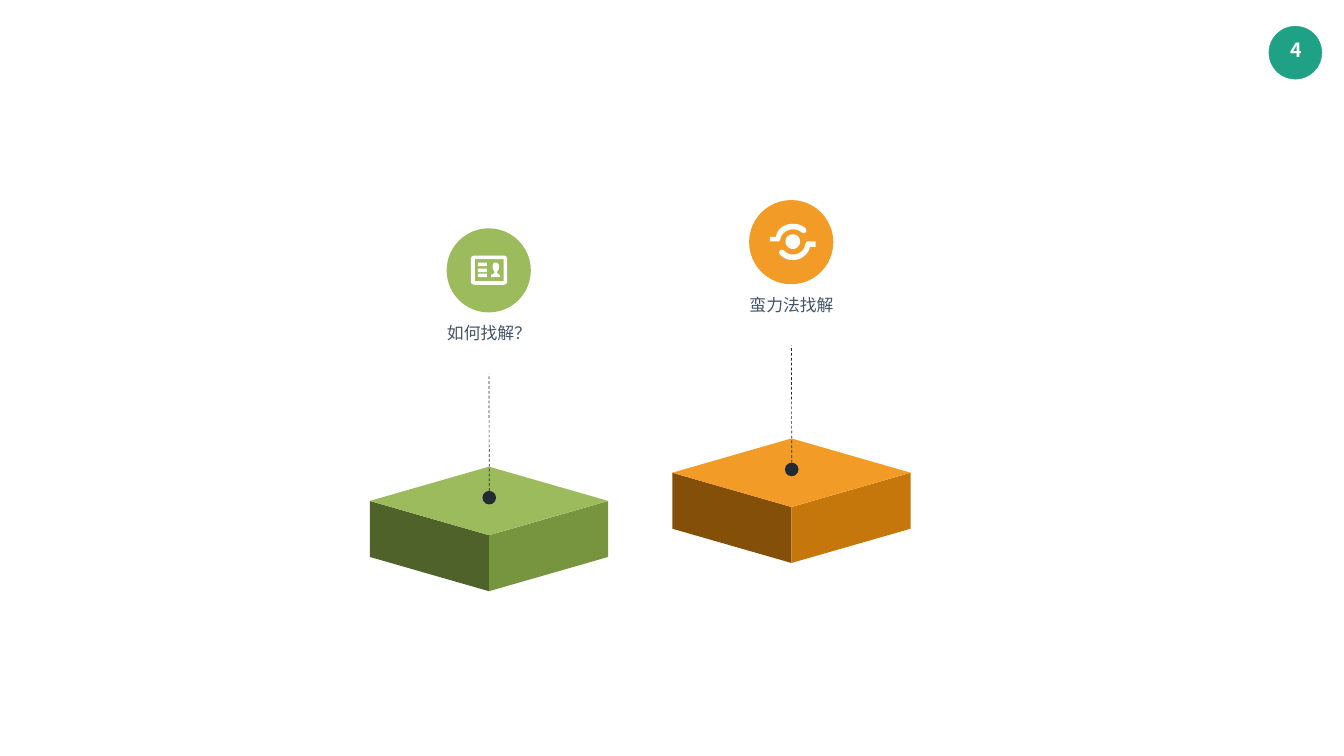
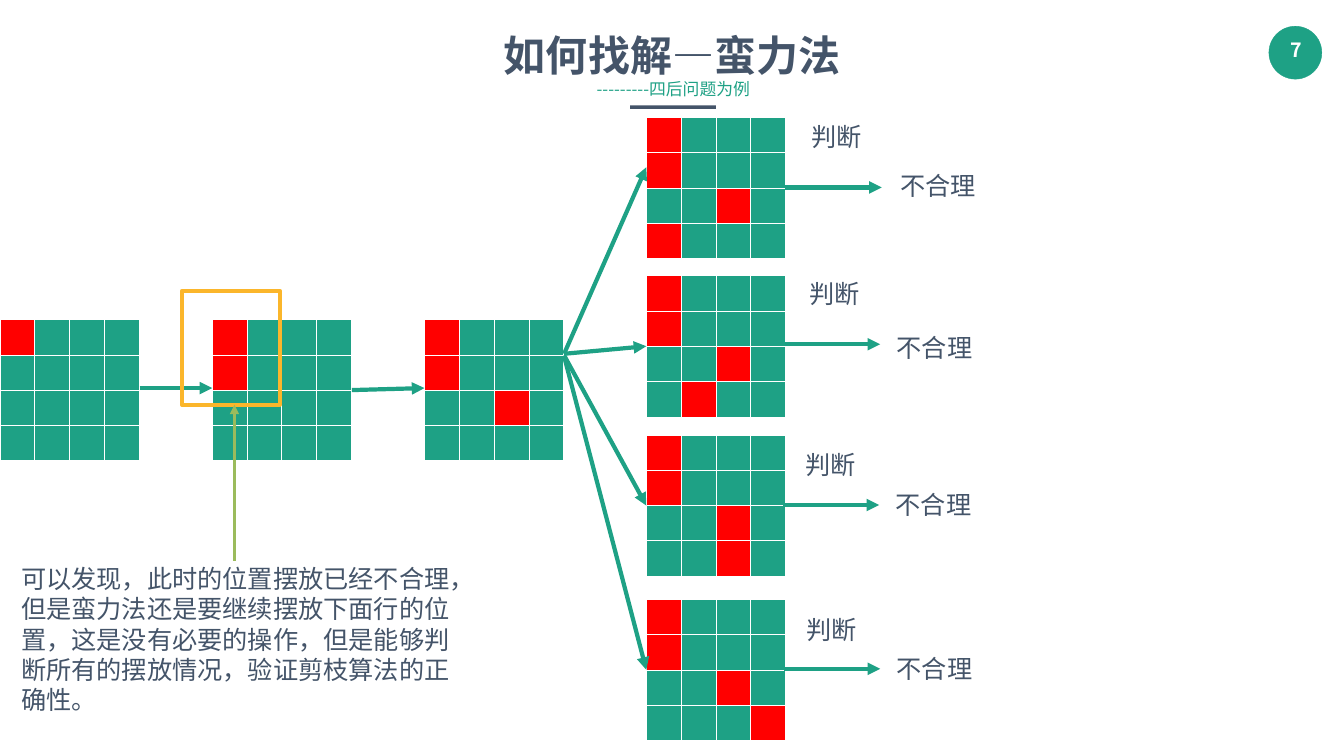
import pptx
import pptx.dml.color
import pptx.enum.dml
import pptx.enum.shapes
import pptx.enum.text
import pptx.oxml.ns
import pptx.util
from lxml import etree

RGB = pptx.dml.color.RGBColor
SHAPE = pptx.enum.shapes.MSO_SHAPE
ALIGN = pptx.enum.text.PP_ALIGN
qn = pptx.oxml.ns.qn

TEAL = RGB(0x1E, 0xA1, 0x85)
SLATE = RGB(0x44, 0x54, 0x69)
INK = RGB(0x22, 0x2A, 0x34)
WHITE = RGB(0xFF, 0xFF, 0xFF)
RED = RGB(0xFF, 0x00, 0x00)
AMBER = RGB(0xFB, 0xB6, 0x2B)
GREEN = RGB(0x9B, 0xBB, 0x5C)
GREEN_MID = RGB(0x77, 0x94, 0x3E)
GREEN_DARK = RGB(0x4F, 0x62, 0x29)
ORANGE = RGB(0xF2, 0x9B, 0x26)
ORANGE_MID = RGB(0xC6, 0x77, 0x0C)
ORANGE_DARK = RGB(0x84, 0x4F, 0x08)

FONT = "Noto Sans CJK SC"
COLUMNS, ROWS = 26.66, 15  # grid of one-inch cells
BOARD_SIZE = 4
CELL_WIDTH, CELL_HEIGHT = 0.69, 0.7


def cell(count):
    """Length of a number of grid cells."""
    return pptx.util.Inches(count)


def box(left, top, right, bottom):
    return [(left, top), (right, top), (right, bottom), (left, bottom)]


def flatten(outline, steps=8):
    """Turn an outline of points and cubic curves (six numbers) into points."""
    points = [outline[0]]
    for step in outline[1:]:
        if len(step) == 2:
            points.append(step)
            continue
        ends = [points[-1], step[:2], step[2:4], step[4:]]
        for i in range(1, steps + 1):
            t = i / steps
            weights = ((1 - t) ** 3, 3 * t * (1 - t) ** 2, 3 * t * t * (1 - t), t ** 3)
            points.append(tuple(sum(w * end[axis] for w, end in zip(weights, ends))
                                for axis in (0, 1)))
    return points


# Icon outlines, in cells from the icon's top left corner
CARD_ICON = [
    [(0.08, 0), (0.65, 0), (0.69, 0, 0.72, 0.03, 0.72, 0.07), (0.72, 0.51),
     (0.72, 0.55, 0.69, 0.58, 0.65, 0.58), (0.08, 0.58),
     (0.03, 0.58, 0, 0.55, 0, 0.51), (0, 0.07), (0, 0.03, 0.03, 0, 0.08, 0)],
    box(0.08, 0.07, 0.65, 0.51),
    *[box(0.14, top, 0.32, top + 0.07) for top in (0.14, 0.26, 0.36)],
    [(0.57, 0.38), (0.57, 0.38, 0.52, 0.36, 0.52, 0.34),
     (0.52, 0.3, 0.56, 0.29, 0.56, 0.22), (0.56, 0.18, 0.54, 0.14, 0.49, 0.14),
     (0.44, 0.14, 0.43, 0.18, 0.43, 0.22), (0.43, 0.29, 0.47, 0.3, 0.47, 0.34),
     (0.47, 0.36, 0.4, 0.38, 0.4, 0.38), (0.4, 0.43), (0.58, 0.43)],
]
ORBIT_ICON = [
    [(0.31, 0.35), (0.31, 0.43, 0.37, 0.5, 0.46, 0.5), (0.54, 0.5, 0.6, 0.43, 0.6, 0.35),
     (0.6, 0.27, 0.54, 0.21, 0.46, 0.21), (0.37, 0.21, 0.31, 0.27, 0.31, 0.35)],
    [(0.21, 0.3), (0.23, 0.19, 0.34, 0.11, 0.46, 0.11),
     (0.52, 0.11, 0.58, 0.13, 0.63, 0.17), (0.65, 0.19, 0.7, 0.19, 0.71, 0.17),
     (0.73, 0.16, 0.73, 0.13, 0.71, 0.09), (0.65, 0.03, 0.55, 0, 0.46, 0),
     (0.29, 0, 0.15, 0.09, 0.12, 0.26), (0, 0.26), (0, 0.35), (0.15, 0.35),
     (0.2, 0.35, 0.2, 0.32, 0.21, 0.3)],
    [(0.76, 0.35), (0.71, 0.35, 0.71, 0.4, 0.7, 0.42), (0.68, 0.53, 0.58, 0.61, 0.46, 0.61),
     (0.39, 0.61, 0.33, 0.58, 0.28, 0.53), (0.26, 0.51, 0.21, 0.51, 0.2, 0.53),
     (0.18, 0.56, 0.18, 0.59, 0.2, 0.61), (0.26, 0.68, 0.36, 0.72, 0.46, 0.72),
     (0.62, 0.72, 0.76, 0.61, 0.8, 0.46), (0.91, 0.46), (0.91, 0.35)],
]


class Deck:
    def __init__(self):
        self.show = pptx.Presentation()
        self.show.slide_width, self.show.slide_height = cell(COLUMNS), cell(ROWS)
        self.shapes = None

    def new_slide(self, number):
        self.shapes = self.show.slides.add_slide(self.show.slide_layouts[6]).shapes
        self.shape(SHAPE.OVAL, 25.17, 0.52, 1.05, 1.05, TEAL, TEAL, 0.5)
        self.text(number, 25.24, 0.66, 0.95, 0.67, 28, WHITE, ALIGN.CENTER,
                  bold=True, inset=0.2, wrap=False)

    def shape(self, kind, left, top, width, height, fill=None, line=None, weight=1):
        figure = self.shapes.add_shape(kind, cell(left), cell(top), cell(width), cell(height))
        self.paint(figure, fill, line, weight)
        return figure

    def paint(self, figure, fill, line=None, weight=1):
        figure.shadow.inherit = False
        if fill is None:
            figure.fill.background()
        else:
            figure.fill.solid()
            figure.fill.fore_color.rgb = fill
        if line is None:
            figure.line.fill.background()
        else:
            figure.line.color.rgb = line
            figure.line.width = pptx.util.Pt(weight)

    def outline(self, outlines, left, top, fill):
        """Draw closed outlines as one filled freeform; inner ones are holes."""
        builder = None
        for contour in outlines:
            points = [(cell(left + x), cell(top + y)) for x, y in flatten(contour)]
            if builder is None:
                builder = self.shapes.build_freeform(*points[0], scale=1.0)
            else:
                builder.move_to(*points[0])
            builder.add_line_segments(points[1:], close=True)
        self.paint(builder.convert_to_shape(), fill)

    def text(self, words, left, top, width, height, size, color=SLATE, align=ALIGN.LEFT,
             bold=False, inset=0.1, wrap=True, before=0, spacing=1.0, grow=True):
        frame = self.shapes.add_textbox(
            cell(left), cell(top), cell(width), cell(height)).text_frame
        frame.word_wrap = wrap
        if grow:
            frame.auto_size = pptx.enum.text.MSO_AUTO_SIZE.SHAPE_TO_FIT_TEXT
        frame.margin_left = frame.margin_right = cell(inset)
        frame.margin_top = frame.margin_bottom = cell(inset / 2)
        paragraph = frame.paragraphs[0]
        paragraph.text = words
        paragraph.alignment = align
        paragraph.line_spacing = spacing
        paragraph.space_before = pptx.util.Pt(before)
        paragraph.font.size = pptx.util.Pt(size)
        paragraph.font.bold = bold
        paragraph.font.color.rgb = color
        paragraph.font.name = FONT
        defaults = paragraph._p.pPr.find(qn("a:defRPr"))
        etree.SubElement(defaults, qn("a:ea"), typeface=FONT)

    def line(self, start, end, color, weight, arrow=True):
        link = self.shapes.add_connector(
            pptx.enum.shapes.MSO_CONNECTOR.STRAIGHT, *map(cell, start + end))
        link.line.color.rgb = color
        link.line.width = pptx.util.Pt(weight)
        if arrow:
            etree.SubElement(link.line._get_or_add_ln(), qn("a:tailEnd"), type="triangle")
        else:
            link.line.dash_style = pptx.enum.dml.MSO_LINE.DASH
        etree.SubElement(link._element.spPr, qn("a:effectLst"))
        return link

    def board(self, left, top, queens):
        """Draw a chessboard; queens gives the red column of each row from the top."""
        grid = self.shapes.add_table(
            BOARD_SIZE, BOARD_SIZE, cell(left), cell(top),
            cell(BOARD_SIZE * CELL_WIDTH), cell(BOARD_SIZE * CELL_HEIGHT)).table
        for row in range(BOARD_SIZE):
            for column in range(BOARD_SIZE):
                square = grid.cell(row, column)
                square.fill.solid()
                taken = row < len(queens) and queens[row] == column
                square.fill.fore_color.rgb = RED if taken else TEAL

    def block(self, center, top, light, mid, dark, icon, icon_at, label):
        """Draw a slab with a dashed pointer up to a label and a round icon."""
        half, slant, depth = 2.365, 0.68, 1.11
        left_side = [(0, 0), (-half, -slant), (-half, -slant + depth), (0, depth)]
        right_side = [(-x, y) for x, y in left_side]
        lid = [(0, 0), (half, -slant), (0, -2 * slant), (-half, -slant)]
        for face, color in ((left_side, dark), (right_side, mid), (lid, light)):
            self.outline([face], center, top + 2 * slant, color)
        self.shape(SHAPE.OVAL, center - 0.84, top - 4.73, 1.67, 1.67, light)
        self.outline(icon, center + icon_at[0], top + icon_at[1], WHITE)
        self.text(label, center - 2.39, top - 3.03, 4.78, 0.65, 24, align=ALIGN.CENTER,
                  inset=0.2, before=17, spacing=1.2)
        dot = self.shape(SHAPE.OVAL, center - 0.13, top + 0.48, 0.27, 0.27, INK)
        pointer = self.line((center, top + 0.48), (center, top - 1.84), INK, 1, arrow=False)
        pointer.begin_connect(dot, 0)

    def title(self, heading, subtitle):
        self.text(heading, 6.57, 0.53, 13.52, 1.11, 60, align=ALIGN.CENTER, bold=True)
        self.shape(SHAPE.RECTANGLE, 12.5, 2.09, 1.7, 0.07, SLATE)
        self.text(subtitle, 6.98, 1.44, 12.75, 0.66, 24, TEAL, ALIGN.CENTER,
                  inset=0.24, before=5, grow=False)


def build_overview(deck):
    deck.new_slide("4")
    deck.block(9.7, 9.26, GREEN, GREEN_MID, GREEN_DARK, CARD_ICON, (-0.36, -4.19), "如何找解？")
    deck.block(15.7, 8.7, ORANGE, ORANGE_MID, ORANGE_DARK, ORBIT_ICON, (-0.43, -4.26),
               "蛮力法找解")


def build_search(deck):
    deck.new_slide("7")
    deck.title("如何找解—蛮力法", "---------四后问题为例")

    placed = [0, 0, 2]
    for step in range(len(placed)):
        deck.board(4.21 * step, 6.34, placed[:step + 1])
    deck.line((2.77, 7.7), (4.21, 7.7), TEAL, 6)
    deck.line((6.98, 7.74), (8.42, 7.7), TEAL, 6)

    # board top, branch start and end, verdict arrow, "判断" and "不合理" positions
    branches = [
        (2.33, 7.02, 3.32, (15.58, 3.72), (15.99, 2.36), (17.76, 3.32)),
        (5.47, 7.02, 6.87, (15.55, 6.83), (15.96, 5.48), (17.69, 6.54)),
        (8.63, 7.05, 10.03, (15.53, 10.02), (15.88, 8.87), (17.67, 9.66)),
        (11.89, 7.07, 13.29, (15.55, 13.27), (15.9, 12.13), (17.69, 12.92)),
    ]
    for last, (top, start, end, arrow, check, verdict) in enumerate(branches):
        deck.board(12.82, top, placed + [last])
        deck.line((11.19, start), (12.82, end), TEAL, 6)
        deck.line(arrow, (arrow[0] + 1.91, arrow[1]), TEAL, 6)
        deck.text("判断", *check, 1.5, 0.71, 36)
        deck.text("不合理", *verdict, 2.33, 0.71, 36)

    deck.shape(SHAPE.RECTANGLE, 3.61, 5.77, 1.94, 2.26, line=AMBER, weight=6)
    deck.line((4.65, 11.13), (4.65, 8.03), GREEN, 4.5)
    deck.text("可以发现，此时的位置摆放已经不合理，但是蛮力法还是要继续摆放下面行的位置，"
              "这是没有必要的操作，但是能够判断所有的摆放情况，验证剪枝算法的正确性。",
              0.32, 11.13, 9.19, 3.13, 36)


def main():
    deck = Deck()
    build_overview(deck)
    build_search(deck)
    deck.show.save("out.pptx")


if __name__ == "__main__":
    main()
